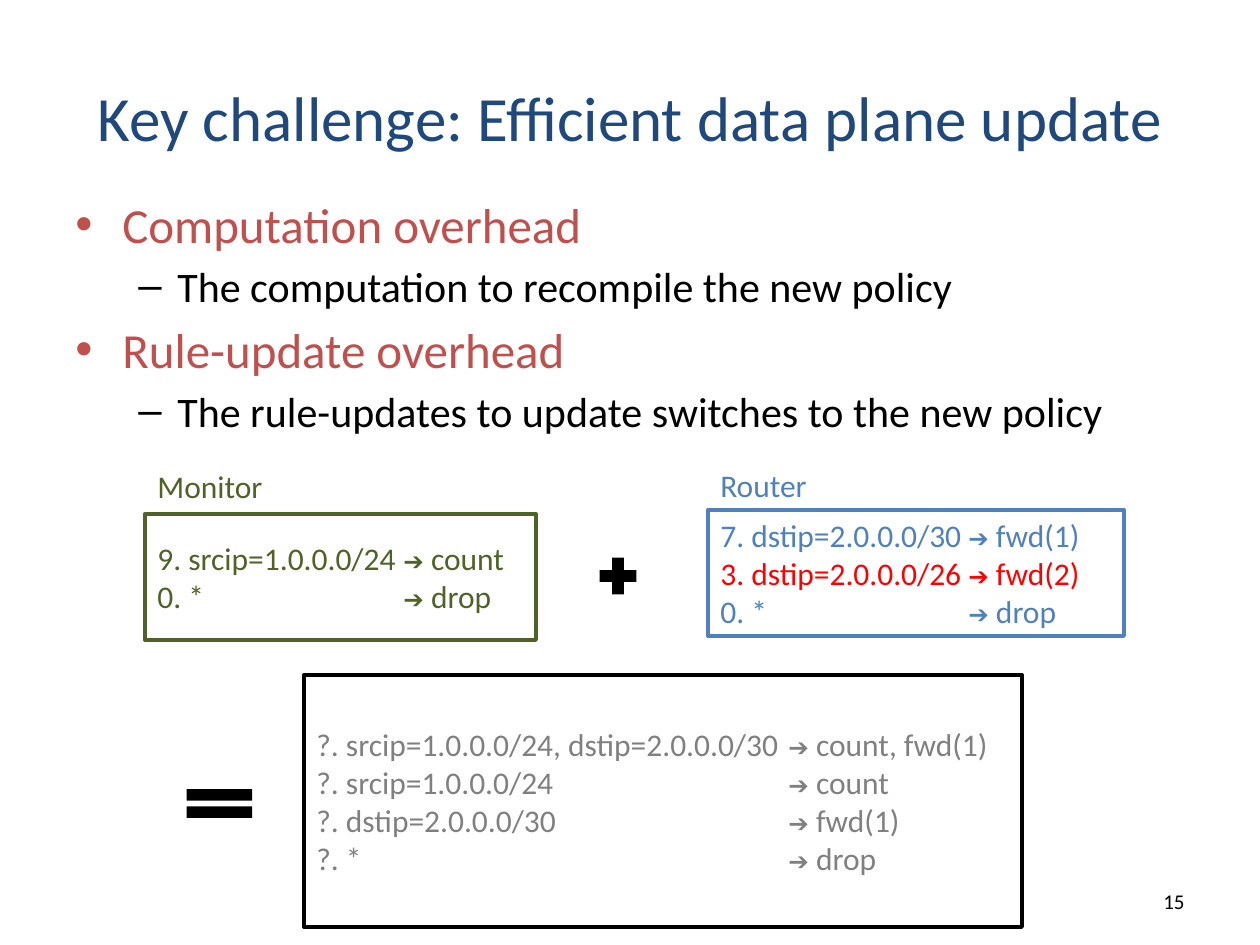
from lxml import etree
from pptx import Presentation
from pptx import util as u
from pptx.dml.color import RGBColor
from pptx.enum import shapes, text
from pptx.oxml import ns

PX = 914400 / 126  # EMU in one px
FONT = "Calibri"
BLACK, WHITE, NAVY, BRICK = "000000", "FFFFFF", "1F497D", "C0504D"
GREEN, BLUE, RED, GRAY = "4F6228", "4F81BD", "FF0000", "808080"
MID = text.MSO_ANCHOR.MIDDLE
LEFT, CENTER, RIGHT = text.PP_ALIGN.LEFT, text.PP_ALIGN.CENTER, text.PP_ALIGN.RIGHT


def px(n):
    return u.Emu(round(n * PX))


def hue(code):
    return RGBColor.from_string(code)


def style(font, size, color, name=FONT):
    font.size, font.name = u.Pt(size), name
    font.color.rgb = hue(color)


def sub(node, tag, **attrs):
    return etree.SubElement(node, ns.qn(tag), attrs)


def lines(frame, count):
    """Return the given number of paragraphs of a text frame."""
    return [frame.paragraphs[0]] + [frame.add_paragraph() for _ in range(count - 1)]


def title(slide, words, box):
    shape = slide.shapes.title
    shape.left, shape.top, shape.width, shape.height = map(px, box)
    frame = shape.text_frame
    frame.word_wrap, frame.vertical_anchor = True, MID
    frame.text = words
    para = frame.paragraphs[0]
    para.alignment = CENTER
    style(para.font, 36, NAVY)


def label(slide, words, box, size, color, align=LEFT, anchor=text.MSO_ANCHOR.TOP):
    frame = slide.shapes.add_textbox(*map(px, box)).text_frame
    frame.word_wrap, frame.vertical_anchor = True, anchor
    para = frame.paragraphs[0]
    para.text, para.alignment = words, align
    style(para.font, size, color)


def bullets(slide, items, box):
    """Write (level, words) items as a two-level list."""
    looks = [("•", 47, 47, 28, BRICK, 5), ("–", 102, 39, 24, BLACK, 4)]
    frame = slide.shapes.add_textbox(*map(px, box)).text_frame
    frame.word_wrap = True
    for i, (para, (level, words)) in enumerate(zip(lines(frame, len(items)), items)):
        mark, margin, hang, size, color, gap = looks[level]
        para.text, para.level = words, level
        if i:
            para.space_before = u.Pt(gap)
        props = para._p.get_or_add_pPr()
        props.set("marL", str(px(margin)))
        props.set("indent", str(-px(hang)))
        sub(props, "a:buFont", typeface="Arial")
        sub(props, "a:buChar", char=mark)
        style(para.font, size, color)


def solid(slide, kind, box, fill):
    shape = slide.shapes.add_shape(kind, *map(px, box))
    shape.shadow.inherit = False
    shape.fill.solid()
    shape.fill.fore_color.rgb = hue(fill)
    shape.line.fill.background()
    return shape


def rules(slide, box, edge, stop, rows):
    """Draw a framed rule table; rows are (match, action, color)."""
    shape = solid(slide, shapes.MSO_SHAPE.RECTANGLE, box, WHITE)
    shape.line.color.rgb = hue(edge)
    shape.line.width = u.Pt(2.25)
    frame = shape.text_frame
    frame.word_wrap, frame.vertical_anchor = True, MID
    for para, (match, action, color) in zip(lines(frame, len(rows)), rows):
        para.alignment = LEFT
        tabs = sub(para._p.get_or_add_pPr(), "a:tabLst")
        sub(tabs, "a:tab", pos=str(px(stop)), algn="l")
        for words, size, name in [(match + "\t", 18, FONT), ("➔", 14, "Arial"),
                                  (" " + action, 18, FONT)]:
            run = para.add_run()
            run.text = words
            style(run.font, size, color, name)


def main():
    deck = Presentation()
    deck.slide_width, deck.slide_height = px(1260), px(945)
    slide = deck.slides.add_slide(deck.slide_layouts[5])

    # Heading and list
    title(slide, "Key challenge: Efficient data plane update", (63, 38, 1134, 157))
    bullets(slide, [
        (0, "Computation overhead"),
        (1, "The computation to recompile the new policy"),
        (0, "Rule-update overhead"),
        (1, "The rule-updates to update switches to the new policy"),
    ], (63, 188, 1134, 624))
    label(slide, "15", (903, 876, 294, 50), 12, BLACK, RIGHT, MID)

    # Monitor plus router
    label(slide, "Monitor", (145, 461, 202, 50), 18, GREEN)
    rules(slide, (145, 514, 391, 126), GREEN, 246, [
        ("9. srcip=1.0.0.0/24", "count", GREEN),
        ("0. *", "drop", GREEN),
    ])
    solid(slide, shapes.MSO_SHAPE.MATH_PLUS, (593, 551, 50, 50), BLACK)
    label(slide, "Router", (708, 460, 202, 50), 18, BLUE)
    rules(slide, (708, 510, 416, 126), BLUE, 248, [
        ("7. dstip=2.0.0.0/30", "fwd(1)", BLUE),
        ("3. dstip=2.0.0.0/26", "fwd(2)", RED),
        ("0. *", "drop", BLUE),
    ])

    # Combined policy
    solid(slide, shapes.MSO_SHAPE.MATH_EQUAL, (175, 779, 89, 49), BLACK)
    rules(slide, (304, 675, 718, 252), BLACK, 472, [
        ("?. srcip=1.0.0.0/24, dstip=2.0.0.0/30", "count, fwd(1)", GRAY),
        ("?. srcip=1.0.0.0/24", "count", GRAY),
        ("?. dstip=2.0.0.0/30", "fwd(1)", GRAY),
        ("?. *", "drop", GRAY),
    ])

    deck.save("out.pptx")


if __name__ == "__main__":
    main()
